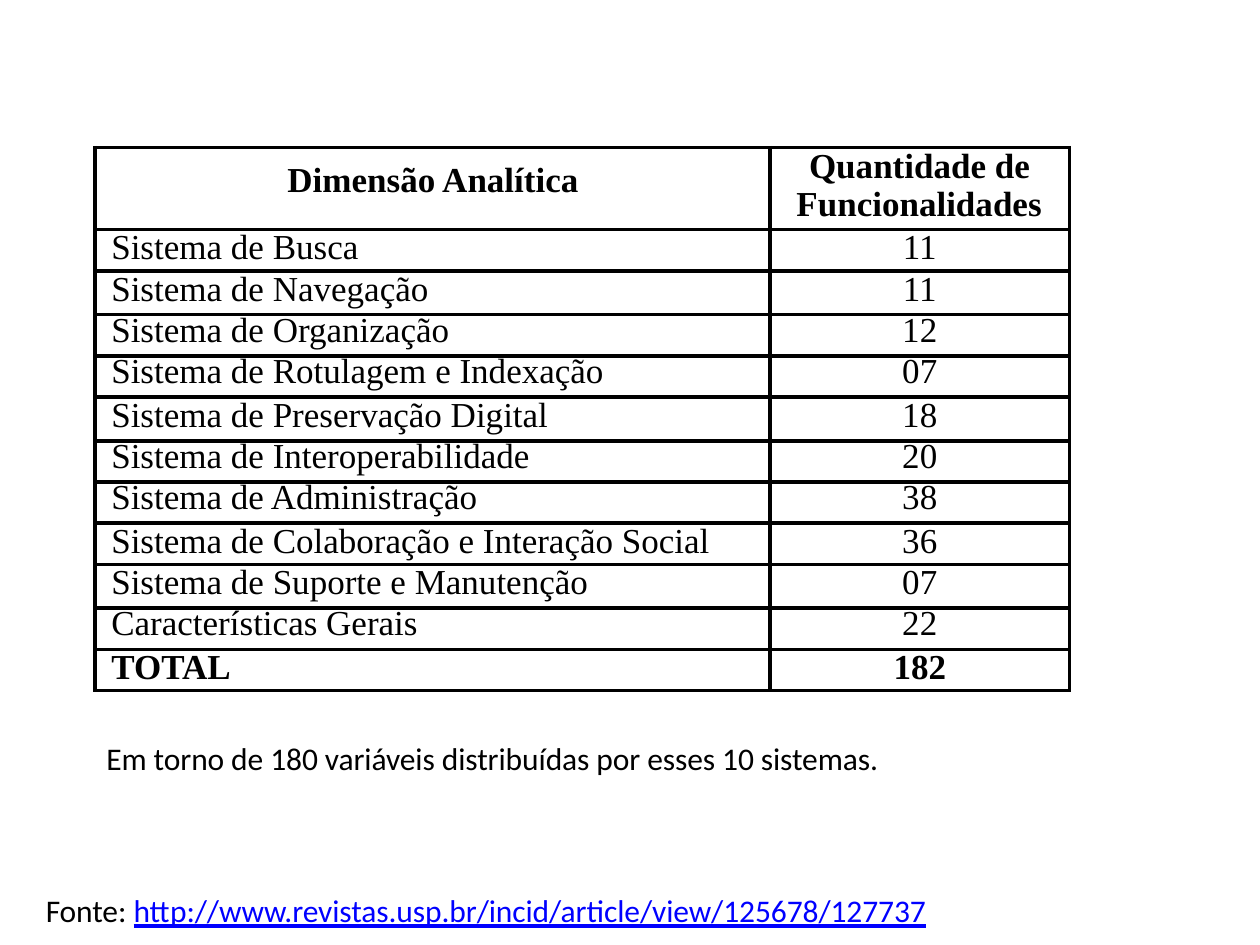
"""Build a slide with a table of analytical dimensions and its source line."""
from lxml.etree import SubElement
from pptx import Presentation
from pptx.dml.color import RGBColor
from pptx.enum.text import MSO_AUTO_SIZE, PP_ALIGN
from pptx.oxml.ns import qn
from pptx.util import Pt

COLORS = {"text": "000000", "link": "0000FF", "border": "000000"}
TABLE_FONT, CAPTION_FONT = "Times New Roman", "Calibri"
SHORT_ROW, TALL_ROW, HEADER_ROW = 23.5, 25.1, 46.9
COLUMN_WIDTHS = (385.8, 171.2)
LOOSE, TIGHT = 21.6, 19.9

ROWS = [
    ("Sistema de Busca", "11", SHORT_ROW, LOOSE),
    ("Sistema de Navegação", "11", TALL_ROW, LOOSE),
    ("Sistema de Organização", "12", SHORT_ROW, TIGHT),
    ("Sistema de Rotulagem e Indexação", "07", SHORT_ROW, TIGHT),
    ("Sistema de Preservação Digital", "18", TALL_ROW, LOOSE),
    ("Sistema de Interoperabilidade", "20", SHORT_ROW, TIGHT),
    ("Sistema de Administração", "38", SHORT_ROW, TIGHT),
    ("Sistema de Colaboração e Interação Social", "36", SHORT_ROW, LOOSE),
    ("Sistema de Suporte e Manutenção", "07", TALL_ROW, LOOSE),
    ("Características Gerais", "22", SHORT_ROW, TIGHT),
    ("TOTAL", "182", SHORT_ROW, LOOSE),
]


def add_run(paragraph, text, font, size, color="text", bold=False, underline=False, spacing=0):
    """Add one formatted run, with character spacing in points."""
    run = paragraph.add_run()
    run.text = text
    run.font.name = font
    run.font.size = Pt(size)
    run.font.bold = bold
    run.font.underline = underline
    run.font.color.rgb = RGBColor.from_string(COLORS[color])
    if spacing:
        run._r.get_or_add_rPr().set("spc", str(round(spacing * 100)))


def set_indent(paragraph, left, first=0):
    """Set the left margin and the first-line indent."""
    properties = paragraph._p.get_or_add_pPr()
    properties.set("marL", str(Pt(left)))
    properties.set("indent", str(Pt(first)))


def add_caption(slide, left, top, width, runs):
    """Add a one-line text box from (text, run options) pairs."""
    box = slide.shapes.add_textbox(Pt(left), Pt(top), Pt(width), Pt(23.8))
    frame = box.text_frame
    frame.word_wrap = True
    frame.auto_size = MSO_AUTO_SIZE.SHAPE_TO_FIT_TEXT
    frame.margin_left = frame.margin_right = frame.margin_bottom = 0
    frame.margin_top = Pt(1)
    paragraph = frame.paragraphs[0]
    set_indent(paragraph, 1)
    paragraph.space_before = Pt(1)
    for text, options in runs:
        add_run(paragraph, text, CAPTION_FONT, 18, spacing=-0.05, **options)


def style_cell(cell, margin_top=0):
    """Give a cell solid borders, no fill and no inner margins."""
    properties = cell._tc.get_or_add_tcPr()
    for side in ("lnL", "lnR", "lnT", "lnB"):
        line = SubElement(properties, qn(f"a:{side}"), w=str(Pt(2.25)))
        fill = SubElement(line, qn("a:solidFill"))
        SubElement(fill, qn("a:srgbClr"), val=COLORS["border"])
    cell.fill.background()
    cell.margin_left = cell.margin_right = cell.margin_bottom = 0
    cell.margin_top = Pt(margin_top)


def fill_cell(cell, text, bold=False, align=None, indent=(0, 0), leading=None,
              space_before=0, margin_top=0):
    """Style a cell and write its single paragraph."""
    style_cell(cell, margin_top)
    paragraph = cell.text_frame.paragraphs[0]
    set_indent(paragraph, *indent)
    paragraph.alignment = align
    paragraph.space_before = Pt(space_before)
    if leading:
        paragraph.line_spacing = Pt(leading)
    add_run(paragraph, text, TABLE_FONT, 20, bold=bold)


def add_dimension_table(slide):
    """Add the table of dimensions and feature counts."""
    heights = [HEADER_ROW] + [row[2] for row in ROWS]
    frame = slide.shapes.add_table(len(heights), 2, Pt(54.2), Pt(84.4),
                                   Pt(sum(COLUMN_WIDTHS)), Pt(sum(heights)))
    table = frame.table
    table.first_row = table.horz_banding = False
    for column, width in zip(table.columns, COLUMN_WIDTHS):
        column.width = Pt(width)
    for row, height in zip(table.rows, heights):
        row.height = Pt(height)
    fill_cell(table.cell(0, 0), "Dimensão Analítica", bold=True, align=PP_ALIGN.CENTER,
              indent=(0.7, 0), space_before=7.7, margin_top=0.11 * 72)
    fill_cell(table.cell(0, 1), "Quantidade de Funcionalidades", bold=True,
              indent=(15.1, 7.2), leading=21.8)
    for index, (name, count, _, leading) in enumerate(ROWS, start=1):
        bold = name == "TOTAL"
        fill_cell(table.cell(index, 0), name, bold, indent=(9.4, 0), leading=leading)
        fill_cell(table.cell(index, 1), count, bold, PP_ALIGN.CENTER, leading=leading)


def main():
    """Create and save the presentation."""
    presentation = Presentation()
    presentation.slide_width, presentation.slide_height = Pt(720), Pt(540)
    slide = presentation.slides.add_slide(presentation.slide_layouts[6])
    add_caption(slide, 25.2, 508.3, 509, [
        ("Fonte: ", {}),
        ("http://www.revistas.usp.br/incid/article/view/125678/127737",
         {"color": "link", "underline": True}),
    ])
    add_caption(slide, 59.8, 421.2, 447.1, [
        ("Em torno de 180 variáveis distribuídas por esses 10 sistemas.", {}),
    ])
    add_dimension_table(slide)
    presentation.save("out.pptx")


if __name__ == "__main__":
    main()
